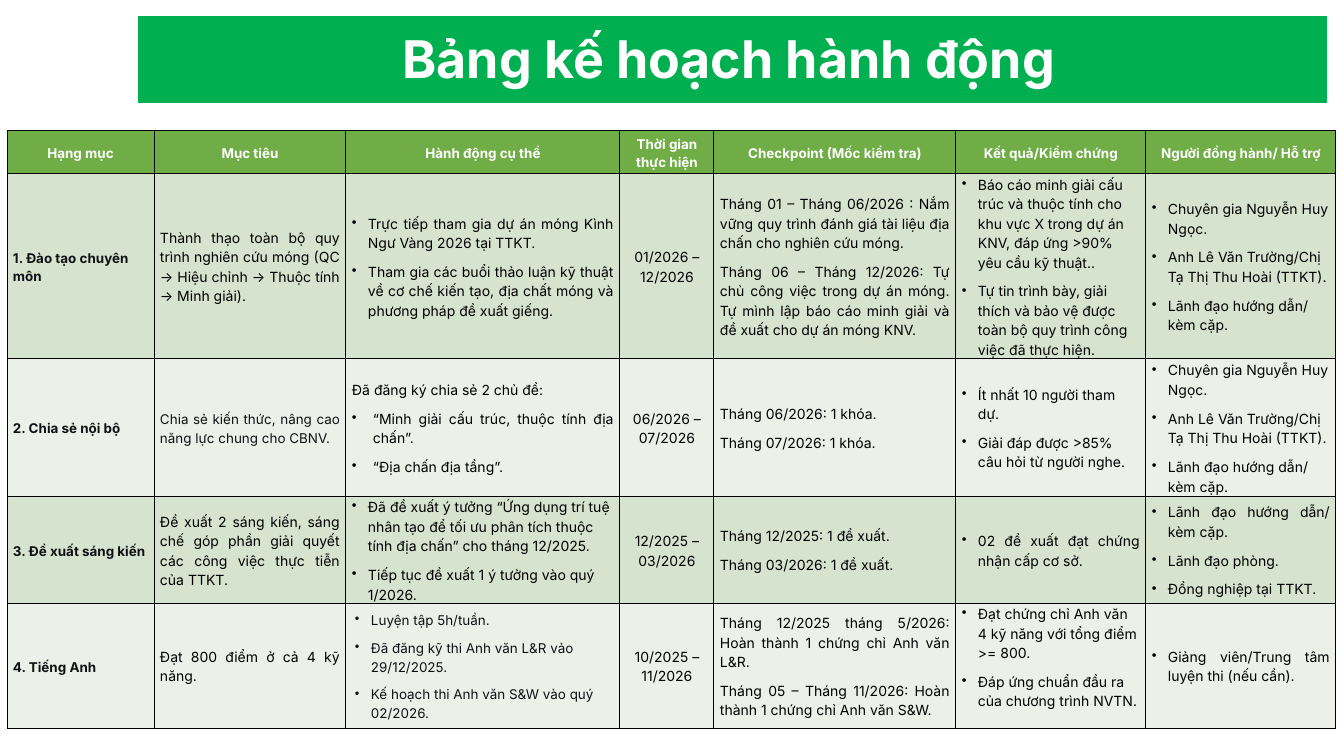
from lxml import etree
from pptx import Presentation
from pptx.dml.color import RGBColor
from pptx.enum.shapes import MSO_SHAPE
from pptx.enum.text import MSO_ANCHOR, PP_ALIGN
from pptx.oxml.ns import qn
from pptx.util import Pt

RECTANGLE = MSO_SHAPE.RECTANGLE
MIDDLE = MSO_ANCHOR.MIDDLE
LEFT, CENTER, JUSTIFY = PP_ALIGN.LEFT, PP_ALIGN.CENTER, PP_ALIGN.JUSTIFY

FONT = "Inter"
COLORS = {
    "white": "FFFFFF",
    "black": "000000",
    "ink": "0F1115",
    "banner": "00B050",
    "header": "70AD47",
    "dark_row": "D5E3CF",
    "light_row": "EBF1E9",
}
COLUMN_WIDTHS = [147, 192, 274, 94, 242, 190, 190]
ROW_HEIGHTS = [43, 183, 138, 106, 125]
BULLET_INDENT = 16

HEADERS = [
    "Hạng mục",
    "Mục tiêu",
    "Hành động cụ thể",
    "Thời gian thực hiện",
    "Checkpoint (Mốc kiểm tra)",
    "Kết quả/Kiểm chứng",
    "Người đồng hành/ Hỗ trợ",
]


def px(length):
    return round(length * 914400 / 84)


def rgb(name):
    return RGBColor.from_string(COLORS[name])


def content(*texts, **options):
    return {"texts": texts, **options}


def header(text):
    return content(text, align=CENTER, size=11.5, color="white", bold=True)


def category(text):
    return content(text, size=11.5, color="ink", bold=True)


def period(text):
    return content(text, align=CENTER)


def prose(*texts, **options):
    return content(*texts, align=JUSTIFY, **options)


def bullets(*texts, **options):
    return content(*texts, **{"indent": BULLET_INDENT, **options})


def plan_rows():
    companions = bullets(
        "Chuyên gia Nguyễn Huy Ngọc.",
        "Anh Lê Văn Trường/Chị Tạ Thị Thu Hoài (TTKT).",
        "Lãnh đạo hướng dẫn/ kèm cặp.",
    )
    return [
        [header(text) for text in HEADERS],
        [
            category("1. Đào tạo chuyên môn"),
            prose("Thành thạo toàn bộ quy trình nghiên cứu móng (QC -> Hiệu chỉnh -> Thuộc tính -> Minh giải)."),
            bullets(
                "Trực tiếp tham gia dự án móng Kình Ngư Vàng 2026 tại TTKT.",
                "Tham gia các buổi thảo luận kỹ thuật về cơ chế kiến tạo, địa chất móng và phương pháp đề xuất giếng.",
                align=JUSTIFY,
            ),
            period("01/2026 – 12/2026"),
            prose(
                "Tháng 01 – Tháng 06/2026 : Nắm vững quy trình đánh giá tài liệu địa chấn cho nghiên cứu móng.",
                "Tháng 06 – Tháng 12/2026: Tự chủ công việc trong dự án móng. "
                "Tự mình lập báo cáo minh giải và đề xuất cho dự án móng KNV.",
            ),
            bullets(
                "Báo cáo minh giải cấu trúc và thuộc tính cho khu vực X trong dự án KNV, đáp ứng >90% yêu cầu kỹ thuật..",
                "Tự tin trình bày, giải thích và bảo vệ được toàn bộ quy trình công việc đã thực hiện.",
            ),
            companions,
        ],
        [
            category("2. Chia sẻ nội bộ"),
            prose("Chia sẻ kiến thức, nâng cao năng lực chung cho CBNV.", size=11.5, color="ink"),
            bullets(
                "“Minh giải cấu trúc, thuộc tính địa chấn”.",
                "“Địa chấn địa tầng”.",
                lead="Đã đăng ký chia sẻ 2 chủ đề:",
                align=JUSTIFY,
                indent=21,
            ),
            period("06/2026 – 07/2026"),
            prose("Tháng 06/2026: 1 khóa.", "Tháng 07/2026: 1 khóa."),
            bullets("Ít nhất 10 người tham dự.", "Giải đáp được >85% câu hỏi từ người nghe."),
            companions,
        ],
        [
            category("3. Đề xuất sáng kiến"),
            prose("Đề xuất 2 sáng kiến, sáng chế góp phần giải quyết các công việc thực tiễn của TTKT."),
            bullets(
                "Đã đề xuất ý tưởng “Ứng dụng trí tuệ nhân tạo để tối ưu phân tích thuộc tính địa chấn” cho tháng 12/2025.",
                "Tiếp tục đề xuất 1 ý tưởng vào quý 1/2026.",
            ),
            period("12/2025 – 03/2026"),
            prose("Tháng 12/2025: 1 đề xuất.", "Tháng 03/2026: 1 đề xuất."),
            bullets("02 đề xuất đạt chứng nhận cấp cơ sở.", align=JUSTIFY),
            bullets(
                "Lãnh đạo hướng dẫn/ kèm cặp.",
                "Lãnh đạo phòng.",
                "Đồng nghiệp tại TTKT.",
                align=JUSTIFY,
            ),
        ],
        [
            category("4. Tiếng Anh"),
            prose("Đạt 800 điểm ở cả 4 kỹ năng."),
            bullets(
                "Luyện tập 5h/tuần.",
                "Đã đăng kỹ thi Anh văn L&R vảo 29/12/2025.",
                "Kế hoạch thi Anh văn S&W vào quý 02/2026.",
                size=11.5,
                color="ink",
                margins=(9, 6, 9, 6),
            ),
            period("10/2025 –11/2026"),
            prose(
                "Tháng 12/2025 tháng 5/2026: Hoàn thành 1 chứng chỉ Anh văn L&R.",
                "Tháng 05 – Tháng 11/2026: Hoàn thành 1 chứng chỉ Anh văn S&W.",
            ),
            bullets(
                "Đạt chứng chỉ Anh văn 4 kỹ năng với tổng điểm >= 800.",
                "Đáp ứng chuẩn đầu ra của chương trình NVTN.",
                margins=(6, 0, 6, 18),
            ),
            bullets("Giảng viên/Trung tâm luyện thi (nếu cần).", align=JUSTIFY),
        ],
    ]


def write_paragraph(paragraph, text, align=LEFT, size=12, color="black", bold=False,
                    indent=0, line_spacing=1.15, space_after=8):
    if indent:
        properties = paragraph._p.get_or_add_pPr()
        properties.set("marL", str(px(indent)))
        properties.set("indent", str(-px(indent)))
        etree.SubElement(properties, qn("a:buChar"), char="•")
    paragraph.alignment = align
    paragraph.line_spacing = line_spacing
    paragraph.space_after = Pt(space_after)
    run = paragraph.add_run()
    run.text = text
    run.font.name = FONT
    run.font.size = Pt(size)
    run.font.bold = bold
    run.font.color.rgb = rgb(color)


def set_borders(cell):
    properties = cell._tc.get_or_add_tcPr()
    for index, side in enumerate(("lnL", "lnR", "lnT", "lnB")):
        line = etree.Element(qn(f"a:{side}"), w=str(Pt(1)))
        fill = etree.SubElement(line, qn("a:solidFill"))
        etree.SubElement(fill, qn("a:srgbClr"), val=COLORS["black"])
        properties.insert(index, line)


def fill_cell(cell, fill, texts, lead=None, margins=(6, 0, 6, 0), indent=0, **options):
    cell.fill.solid()
    cell.fill.fore_color.rgb = rgb(fill)
    set_borders(cell)
    cell.vertical_anchor = MIDDLE
    cell.margin_left, cell.margin_top, cell.margin_right, cell.margin_bottom = map(px, margins)
    lines = [(lead, 0)] if lead else []
    lines += [(text, indent) for text in texts]
    for index, (text, line_indent) in enumerate(lines):
        frame = cell.text_frame
        paragraph = frame.add_paragraph() if index else frame.paragraphs[0]
        write_paragraph(paragraph, text, indent=line_indent, **options)


def add_plan_table(slide, left, top):
    rows = plan_rows()
    shape = slide.shapes.add_table(len(rows), len(COLUMN_WIDTHS), px(left), px(top),
                                   px(sum(COLUMN_WIDTHS)), px(sum(ROW_HEIGHTS)))
    table = shape.table
    table.first_row = False
    table.horz_banding = False
    for column, width in zip(table.columns, COLUMN_WIDTHS):
        column.width = px(width)
    for row, height in zip(table.rows, ROW_HEIGHTS):
        row.height = px(height)
    for row_index, row in enumerate(rows):
        fill = ("light_row", "dark_row")[row_index % 2] if row_index else "header"
        for column_index, cell_content in enumerate(row):
            fill_cell(table.cell(row_index, column_index), fill, **cell_content)


def add_banner(slide, left, top, width, height):
    shape = slide.shapes.add_shape(RECTANGLE, px(left), px(top), px(width), px(height))
    shape.shadow.inherit = False
    shape.fill.solid()
    shape.fill.fore_color.rgb = rgb("banner")
    shape.line.fill.background()


def add_title(slide, text, left, top, width, height):
    frame = slide.shapes.add_textbox(px(left), px(top), px(width), px(height)).text_frame
    frame.word_wrap = True
    frame.margin_left = frame.margin_top = frame.margin_right = frame.margin_bottom = 0
    write_paragraph(frame.paragraphs[0], text, align=CENTER, size=44.5, color="white",
                    bold=True, line_spacing=Pt(55.5), space_after=0)


def main():
    presentation = Presentation()
    presentation.slide_width = px(1344)
    presentation.slide_height = px(756)
    slide = presentation.slides.add_slide(presentation.slide_layouts[6])
    add_banner(slide, 138, 16, 1189, 87)
    add_plan_table(slide, 7, 131)
    add_title(slide, "Bảng kế hoạch hành động", 138, 24, 1182, 66)
    presentation.save("out.pptx")


if __name__ == "__main__":
    main()
